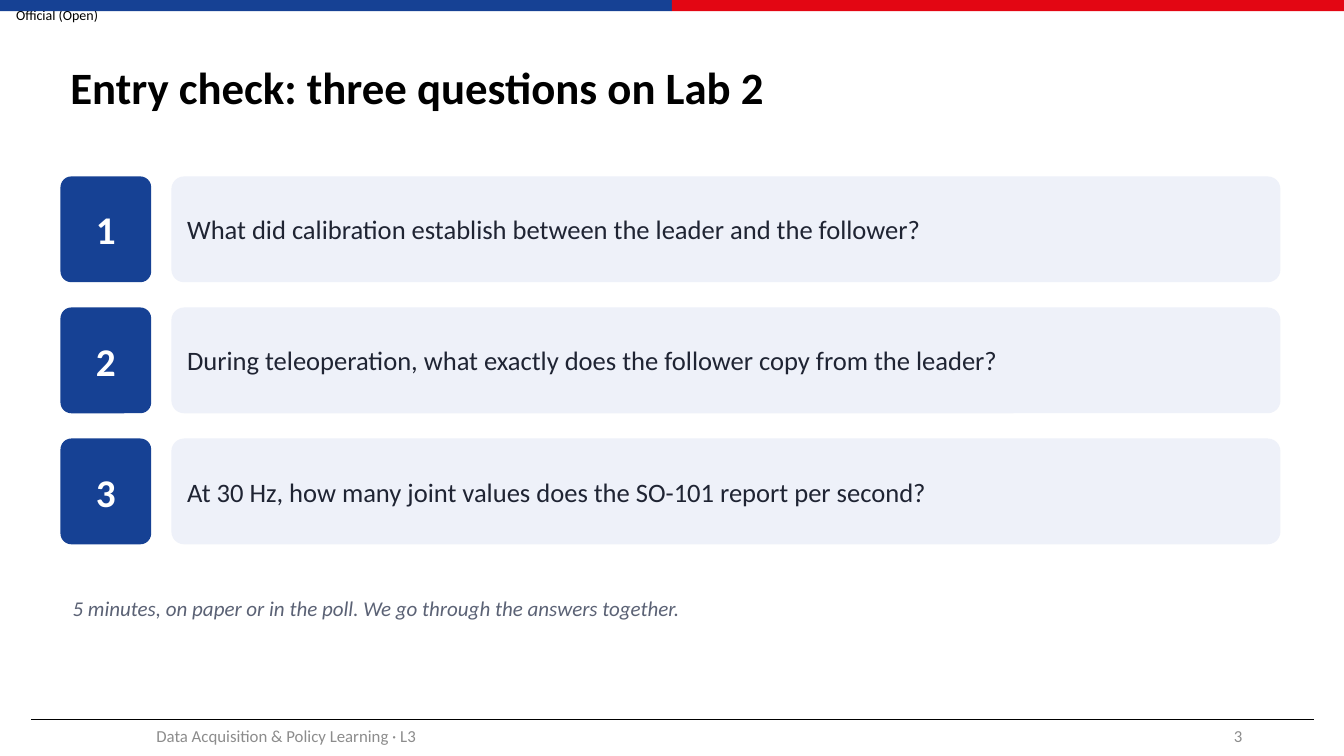
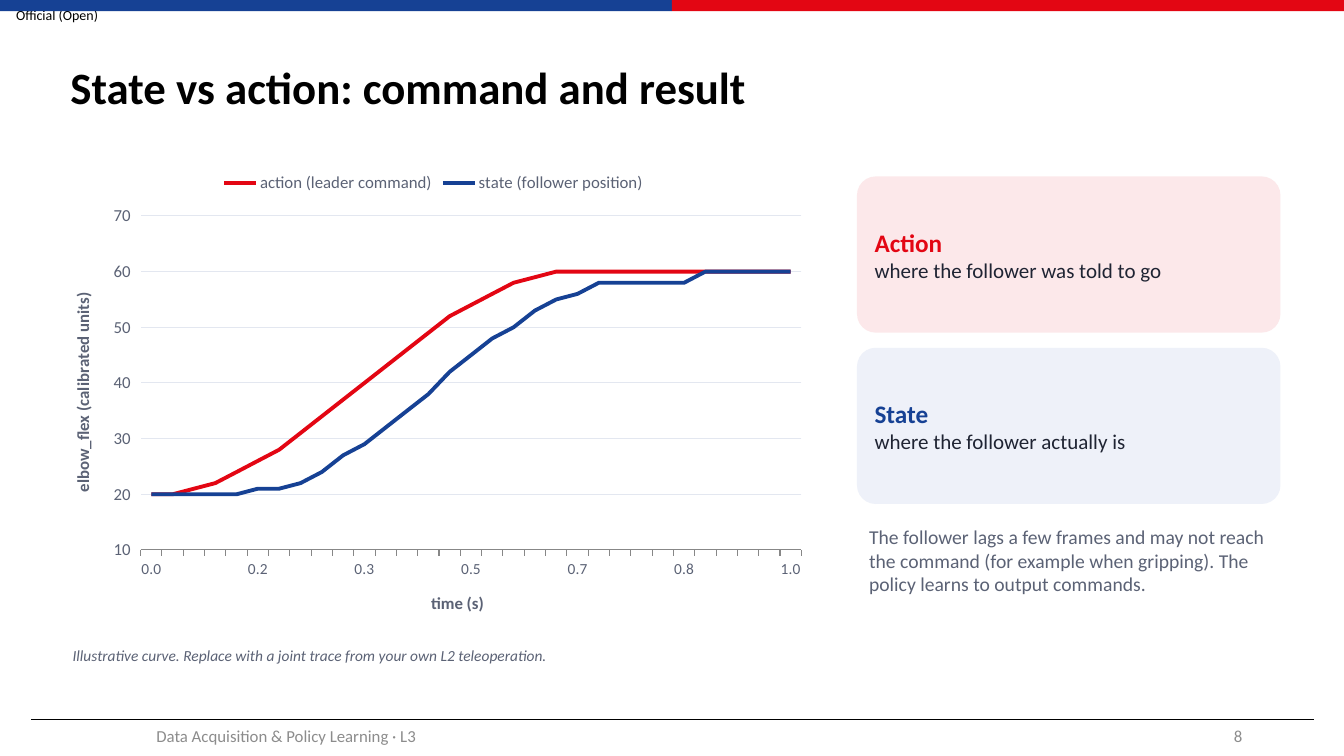
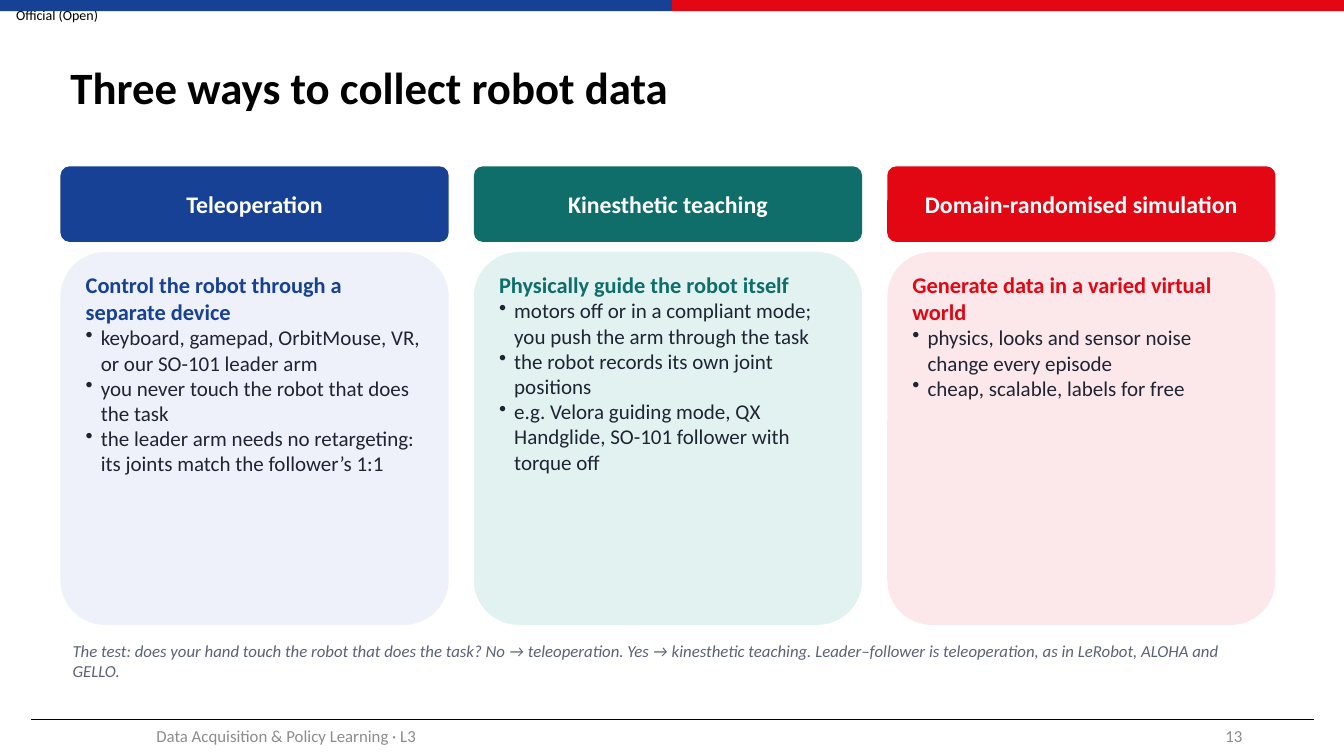
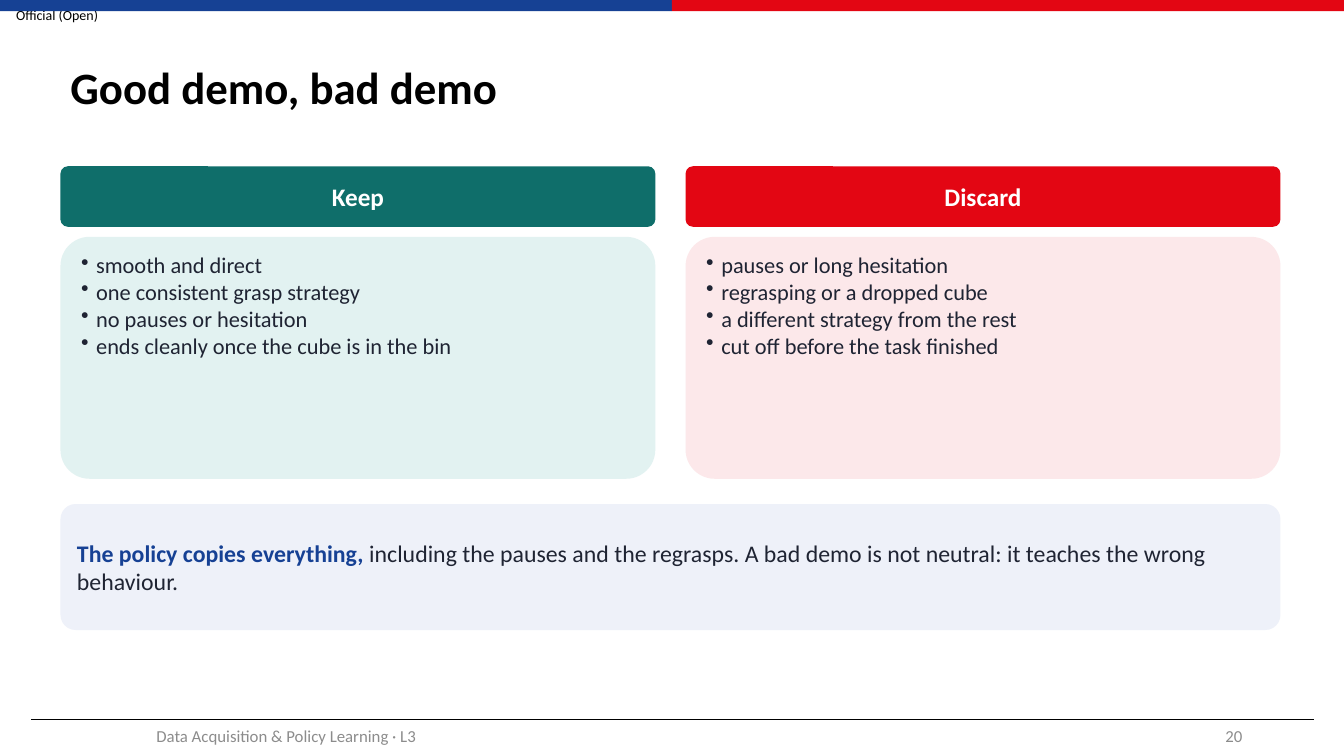
"""Build four lecture slides on robot data acquisition and policy learning."""
from dataclasses import dataclass

from lxml import etree
from pptx import Presentation
from pptx.chart.data import CategoryChartData
from pptx.dml.color import RGBColor
from pptx.enum.chart import XL_CHART_TYPE, XL_LEGEND_POSITION, XL_TICK_MARK
from pptx.enum.shapes import MSO_CONNECTOR, MSO_SHAPE
from pptx.enum.text import MSO_ANCHOR, PP_ALIGN
from pptx.oxml.ns import qn
from pptx.util import Inches, Pt

LINE_CHART = XL_CHART_TYPE.LINE
LEGEND_TOP = XL_LEGEND_POSITION.TOP
TICK_OUTSIDE = XL_TICK_MARK.OUTSIDE
STRAIGHT = MSO_CONNECTOR.STRAIGHT
RECTANGLE, ROUNDED = MSO_SHAPE.RECTANGLE, MSO_SHAPE.ROUNDED_RECTANGLE
TOP, MIDDLE = MSO_ANCHOR.TOP, MSO_ANCHOR.MIDDLE
LEFT, CENTER, RIGHT = PP_ALIGN.LEFT, PP_ALIGN.CENTER, PP_ALIGN.RIGHT


@dataclass(frozen=True)
class Theme:
    font: str = "Calibri"
    black: str = "000000"
    white: str = "FFFFFF"
    ink: str = "1F2433"
    muted: str = "5B6275"
    footer: str = "8C8C8C"
    grid: str = "E3E7F0"
    blue: str = "164194"
    blue_tint: str = "EEF1F9"
    red: str = "E30613"
    red_tint: str = "FCE8EA"
    teal: str = "0F6E6A"
    teal_tint: str = "E2F2F1"
    title_size: int = 32
    number_size: int = 28
    question_size: int = 19
    heading_size: int = 18
    banner_size: int = 17
    list_size: int = 16
    body_size: int = 15
    remark_size: int = 14
    small_size: int = 12
    caption_size: int = 11
    label_size: int = 10


@dataclass(frozen=True)
class Span:
    text: str
    size: int
    color: str
    bold: bool = False
    italic: bool = False


THEME = Theme()
WIDTH, HEIGHT = 13.33, 7.5
MARGIN, CONTENT_WIDTH = 0.6, 12.1
CARD_INSETS = (0.12, 0.06)
BOX_INSETS = (0.1, 0.05)
CORNER = 0.12
BULLET_INDENT = 0.15

LABEL = "Official (Open)"
FOOTER = "Data Acquisition & Policy Learning · L3"

QUESTIONS = [
    "What did calibration establish between the leader and the follower?",
    "During teleoperation, what exactly does the follower copy from the leader?",
    "At 30 Hz, how many joint values does the SO-101 report per second?",
]
QUESTIONS_NOTE = "5 minutes, on paper or in the poll. We go through the answers together."

TIME_LABELS = ["0.0", "0.2", "0.3", "0.5", "0.7", "0.8", "1.0"]
LABEL_STEP = 5
TRACES = [
    ("action (leader command)", THEME.red,
     [20, 20, 21, 22, 24, 26, 28, 31, 34, 37, 40, 43, 46, 49, 52, 54,
      56, 58, 59, 60, 60, 60, 60, 60, 60, 60, 60, 60, 60, 60, 60]),
    ("state (follower position)", THEME.blue,
     [20, 20, 20, 20, 20, 21, 21, 22, 24, 27, 29, 32, 35, 38, 42, 45,
      48, 50, 53, 55, 56, 58, 58, 58, 58, 58, 60, 60, 60, 60, 60]),
]
DEFINITIONS = [
    ("Action", "where the follower was told to go", THEME.red, THEME.red_tint),
    ("State", "where the follower actually is", THEME.blue, THEME.blue_tint),
]
LAG_REMARK = ("The follower lags a few frames and may not reach the command "
              "(for example when gripping). The policy learns to output commands.")
CHART_NOTE = "Illustrative curve. Replace with a joint trace from your own L2 teleoperation."

METHODS = [
    ("Teleoperation", THEME.blue, THEME.blue_tint,
     "Control the robot through a separate device",
     ["keyboard, gamepad, OrbitMouse, VR, or our SO-101 leader arm",
      "you never touch the robot that does the task",
      "the leader arm needs no retargeting: its joints match the follower’s 1:1"]),
    ("Kinesthetic teaching", THEME.teal, THEME.teal_tint,
     "Physically guide the robot itself",
     ["motors off or in a compliant mode; you push the arm through the task",
      "the robot records its own joint positions",
      "e.g. Velora guiding mode, QX Handglide, SO-101 follower with torque off"]),
    ("Domain-randomised simulation", THEME.red, THEME.red_tint,
     "Generate data in a varied virtual world",
     ["physics, looks and sensor noise change every episode",
      "cheap, scalable, labels for free"]),
]
METHODS_NOTE = ("The test: does your hand touch the robot that does the task? "
                "No → teleoperation. Yes → kinesthetic teaching. "
                "Leader–follower is teleoperation, as in LeRobot, ALOHA and GELLO.")

VERDICTS = [
    ("Keep", THEME.teal, THEME.teal_tint,
     ["smooth and direct", "one consistent grasp strategy",
      "no pauses or hesitation", "ends cleanly once the cube is in the bin"]),
    ("Discard", THEME.red, THEME.red_tint,
     ["pauses or long hesitation", "regrasping or a dropped cube",
      "a different strategy from the rest", "cut off before the task finished"]),
]
WARNING = [
    Span("The policy copies everything, ", THEME.banner_size, THEME.blue, bold=True),
    Span("including the pauses and the regrasps. A bad demo is not neutral: "
         "it teaches the wrong behaviour.", THEME.banner_size, THEME.ink),
]


def rgb(color):
    return RGBColor.from_string(color)


def style_font(font, size, color, bold=False, italic=False):
    font.name, font.size = THEME.font, Pt(size)
    font.bold, font.italic = bold, italic
    font.color.rgb = rgb(color)


def add_bullet(para):
    properties = para._p.get_or_add_pPr()
    indent = Inches(BULLET_INDENT)
    properties.set("marL", str(indent))
    properties.set("indent", str(-indent))
    etree.SubElement(properties, qn("a:buChar")).set("char", "•")


def write(shape, paragraphs, align=LEFT, anchor=TOP, insets=CARD_INSETS, bullets_from=None):
    frame = shape.text_frame
    frame.word_wrap = True
    frame.vertical_anchor = anchor
    frame.margin_left = frame.margin_right = Inches(insets[0])
    frame.margin_top = frame.margin_bottom = Inches(insets[1])
    for index, spans in enumerate(paragraphs):
        para = frame.paragraphs[0] if index == 0 else frame.add_paragraph()
        para.alignment = align
        if bullets_from is not None and index >= bullets_from:
            add_bullet(para)
        for span in spans:
            run = para.add_run()
            run.text = span.text
            style_font(run.font, span.size, span.color, span.bold, span.italic)


def add_text(page, area, span, **layout):
    box = page.shapes.add_textbox(*map(Inches, area))
    write(box, [[span]], **layout)
    return box


def add_block(page, kind, area, fill):
    block = page.shapes.add_shape(kind, *map(Inches, area))
    block.shadow.inherit = False
    block.fill.solid()
    block.fill.fore_color.rgb = rgb(fill)
    block.line.fill.background()
    return block


def add_card(page, area, fill, paragraphs, **layout):
    card = add_block(page, ROUNDED, area, fill)
    card.adjustments[0] = CORNER
    write(card, paragraphs, **layout)


def add_header(page, area, fill, text, size):
    add_card(page, area, fill, [[Span(text, size, THEME.white, bold=True)]],
             align=CENTER, anchor=MIDDLE)


def add_note(page, top, width, height, text, size):
    add_text(page, (MARGIN, top, width, height),
             Span(text, size, THEME.muted, italic=True))


def add_page(deck, title, number):
    page = deck.slides.add_slide(deck.slide_layouts[6])
    add_text(page, (0.16, 0, 0.97, 0.29), Span(LABEL, THEME.label_size, THEME.black),
             anchor=MIDDLE, insets=(0, 0))
    half = WIDTH / 2
    for index, color in enumerate((THEME.blue, THEME.red)):
        add_block(page, RECTANGLE, (index * half, 0, half, 0.11), color)
    rule = page.shapes.add_connector(
        STRAIGHT, Inches(0.31), Inches(7.14), Inches(13.03), Inches(7.14))
    rule.line.color.rgb = rgb(THEME.black)
    rule.line.width = Pt(0.5)
    etree.SubElement(rule._element.spPr, qn("a:effectLst"))
    heading = add_text(page, (MARGIN, 0.3, 12.08, 1.18),
                       Span(title, THEME.title_size, THEME.black, bold=True),
                       anchor=MIDDLE, insets=BOX_INSETS)
    heading.text_frame.paragraphs[0].line_spacing = 0.9
    for left, width, text, align in ((0.59, 4.5, FOOTER, CENTER),
                                     (9.42, 3, str(number), RIGHT)):
        add_text(page, (left, 7.1, width, 0.4), Span(text, THEME.small_size, THEME.footer),
                 align=align, anchor=MIDDLE, insets=BOX_INSETS)
    return page


def build_questions(deck):
    page = add_page(deck, "Entry check: three questions on Lab 2", 3)
    height, gap = 1.05, 0.25
    for index, question in enumerate(QUESTIONS):
        top = 1.75 + index * (height + gap)
        add_header(page, (MARGIN, top, 0.9, height), THEME.blue,
                   str(index + 1), THEME.number_size)
        add_card(page, (1.7, top, 11, height), THEME.blue_tint,
                 [[Span(question, THEME.question_size, THEME.ink)]], anchor=MIDDLE)
    add_note(page, 5.85, CONTENT_WIDTH, 0.5, QUESTIONS_NOTE, THEME.body_size)


def add_trace_chart(page):
    data = CategoryChartData()
    count = len(TRACES[0][2])
    data.categories = [TIME_LABELS[index // LABEL_STEP] if index % LABEL_STEP == 0 else ""
                       for index in range(count)]
    for name, _, values in TRACES:
        data.add_series(name, values)
    area = map(Inches, (0.5, 1.6, 7.6, 4.7))
    chart = page.shapes.add_chart(LINE_CHART, *area, data).chart
    style_font(chart.font, THEME.small_size, THEME.muted)
    chart.has_title = False
    chart.has_legend = True
    chart.legend.position = LEGEND_TOP
    chart.legend.include_in_layout = False
    chart.plots[0].vary_by_categories = False
    for series, (_, color, _) in zip(chart.plots[0].series, TRACES):
        series.smooth = False
        series.format.line.color.rgb = rgb(color)
        series.format.line.width = Pt(2.75)
    time_axis, value_axis = chart.category_axis, chart.value_axis
    for axis, title in ((time_axis, "time (s)"),
                        (value_axis, "elbow_flex (calibrated units)")):
        axis.major_tick_mark = TICK_OUTSIDE
        run = axis.axis_title.text_frame.paragraphs[0].add_run()
        run.text = title
        style_font(run.font, THEME.small_size, THEME.muted, bold=True)
    style_font(time_axis.tick_labels.font, THEME.caption_size, THEME.muted)
    value_axis.minimum_scale, value_axis.maximum_scale = 10, 70
    value_axis.major_unit = 10
    value_axis.format.line.fill.background()
    grid = value_axis.major_gridlines.format.line
    grid.color.rgb = rgb(THEME.grid)
    grid.width = Pt(0.75)


def build_state_action(deck):
    page = add_page(deck, "State vs action: command and result", 8)
    add_trace_chart(page)
    left, width, height, gap = 8.5, 4.2, 1.55, 0.15
    tops = [1.75 + index * (height + gap) for index in range(len(DEFINITIONS) + 1)]
    for top, (term, meaning, color, tint) in zip(tops, DEFINITIONS):
        add_card(page, (left, top, width, height), tint,
                 [[Span(term, THEME.heading_size, color, bold=True)],
                  [Span(meaning, THEME.body_size, THEME.ink)]], anchor=MIDDLE)
    add_text(page, (left, tops[-1], width, 1.2),
             Span(LAG_REMARK, THEME.remark_size, THEME.muted))
    add_note(page, 6.35, 7.4, 0.35, CHART_NOTE, THEME.caption_size)


def build_methods(deck):
    page = add_page(deck, "Three ways to collect robot data", 13)
    width, gap = 3.85, 0.25
    for index, (name, color, tint, summary, points) in enumerate(METHODS):
        left = MARGIN + index * (width + gap)
        add_header(page, (left, 1.65, width, 0.75), color, name, THEME.banner_size)
        lines = [[Span(summary, THEME.list_size, color, bold=True)]]
        lines += [[Span(point, THEME.body_size, THEME.ink)] for point in points]
        add_card(page, (left, 2.5, width, 3.7), tint, lines, bullets_from=1)
    add_note(page, 6.3, CONTENT_WIDTH, 0.4, METHODS_NOTE, THEME.small_size)


def build_verdicts(deck):
    page = add_page(deck, "Good demo, bad demo", 20)
    width, gap = 5.9, 0.3
    for index, (name, color, tint, points) in enumerate(VERDICTS):
        left = MARGIN + index * (width + gap)
        add_header(page, (left, 1.65, width, 0.6), color, name, THEME.heading_size)
        add_card(page, (left, 2.35, width, 2.4), tint,
                 [[Span(point, THEME.list_size, THEME.ink)] for point in points],
                 bullets_from=0)
    add_card(page, (MARGIN, 5, CONTENT_WIDTH, 1.25), THEME.blue_tint, [WARNING],
             anchor=MIDDLE)


def main():
    deck = Presentation()
    deck.slide_width, deck.slide_height = Inches(WIDTH), Inches(HEIGHT)
    for build in (build_questions, build_state_action, build_methods, build_verdicts):
        build(deck)
    deck.save("out.pptx")


if __name__ == "__main__":
    main()
